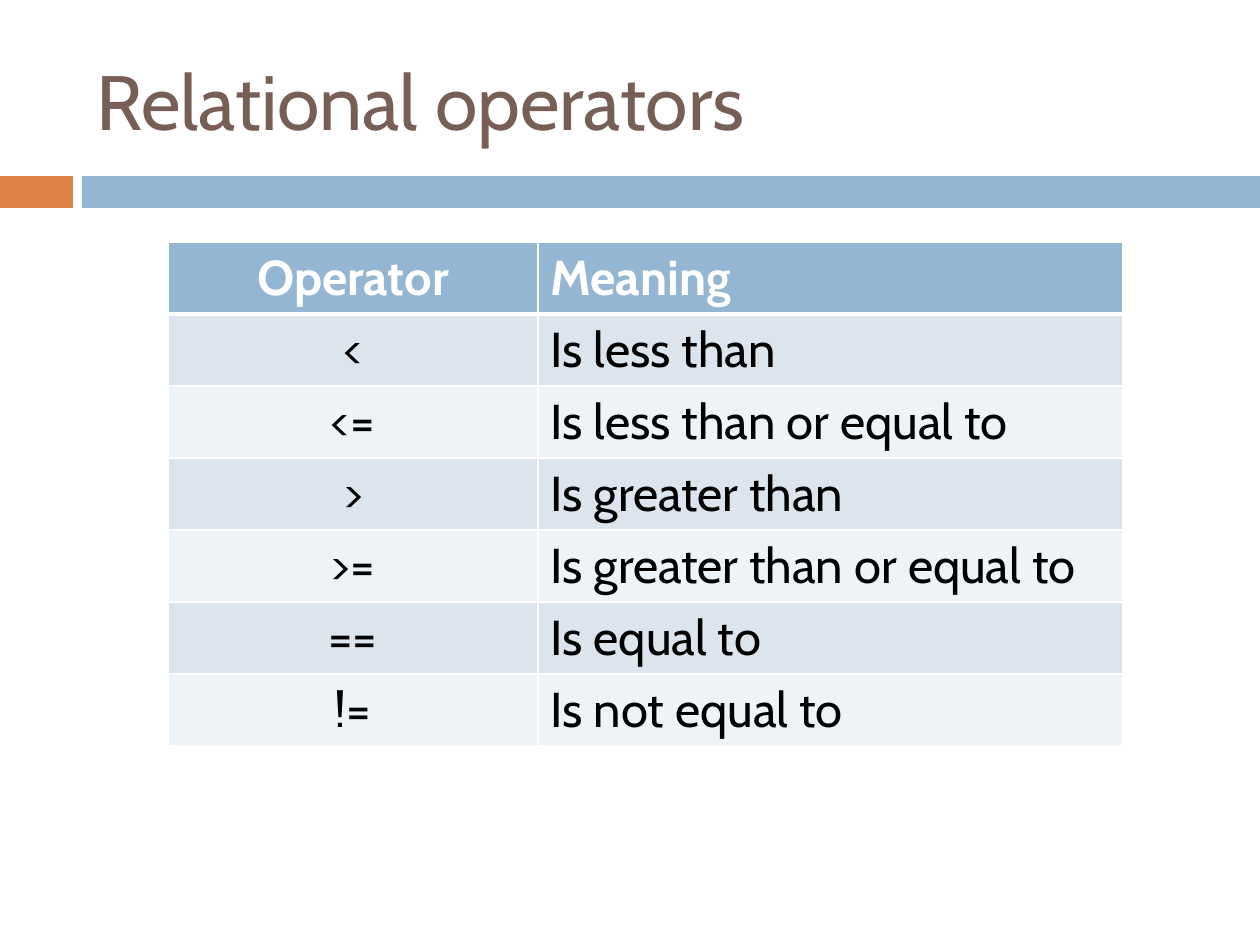
from lxml import etree
from pptx import Presentation
from pptx.dml.color import RGBColor
from pptx.enum.shapes import MSO_SHAPE
from pptx.enum.text import MSO_ANCHOR, PP_ALIGN
from pptx.oxml.ns import qn
from pptx.util import Pt

PX = 914400 // 126
RECTANGLE = MSO_SHAPE.RECTANGLE
MIDDLE = MSO_ANCHOR.MIDDLE
LEFT, CENTER = PP_ALIGN.LEFT, PP_ALIGN.CENTER

FONT = "Cabin"
BROWN = RGBColor(0x77, 0x5F, 0x55)
ORANGE = RGBColor(0xDD, 0x80, 0x47)
BLUE = RGBColor(0x94, 0xB6, 0xD2)
BAND_DARK = RGBColor(0xDC, 0xE5, 0xEE)
BAND_LIGHT = RGBColor(0xEE, 0xF3, 0xF7)
WHITE = RGBColor(0xFF, 0xFF, 0xFF)
BLACK = RGBColor(0x00, 0x00, 0x00)

COLUMN_WIDTHS = (370, 585)
ROW_HEIGHT = 72
OPERATORS = (
    ("Operator", "Meaning"),
    ("<", "Is less than"),
    ("<=", "Is less than or equal to"),
    (">", "Is greater than"),
    (">=", "Is greater than or equal to"),
    ("==", "Is equal to"),
    ("!=", "Is not equal to"),
)


def px(*lengths):
    """Turn pixel lengths into EMU."""
    return [length * PX for length in lengths]


def write(frame, text, size, color, bold=False, align=LEFT):
    """Put one formatted paragraph into a text frame."""
    paragraph = frame.paragraphs[0]
    paragraph.alignment = align
    run = paragraph.add_run()
    run.text = text
    run.font.name = FONT
    run.font.size = Pt(size)
    run.font.bold = bold
    run.font.color.rgb = color


def add_title(slide, text):
    """Add the slide heading."""
    frame = slide.shapes.add_textbox(*px(84, 32, 1124, 136)).text_frame
    frame.word_wrap = True
    frame.vertical_anchor = MIDDLE
    write(frame, text, 44, BROWN)


def add_bar(slide, left, width, color):
    """Add one piece of the strip below the heading."""
    bar = slide.shapes.add_shape(RECTANGLE, *px(left, 176, width, 32))
    bar.shadow.inherit = False
    bar.fill.solid()
    bar.fill.fore_color.rgb = color
    bar.line.fill.background()


def set_border(cell, side, points):
    """Draw a white line on one side of a cell."""
    properties = cell._tc.get_or_add_tcPr()
    line = etree.SubElement(properties, qn(f"a:ln{side}"), w=str(Pt(points)))
    fill = etree.SubElement(line, qn("a:solidFill"))
    etree.SubElement(fill, qn("a:srgbClr"), val=str(WHITE))


def fill_cell(cell, text, row, column):
    """Give a cell its borders, band colour and text."""
    is_header = row == 0
    widths = {"L": 1, "R": 1, "T": 3 if row == 1 else 1, "B": 3 if is_header else 1}
    for side, points in widths.items():
        set_border(cell, side, points)
    cell.fill.solid()
    band = BAND_DARK if row % 2 else BAND_LIGHT
    cell.fill.fore_color.rgb = BLUE if is_header else band
    write(cell.text_frame, text, 28, WHITE if is_header else BLACK,
          bold=is_header, align=LEFT if column else CENTER)


def add_operator_table(slide):
    """Add the table of operators and their meanings."""
    size = px(168, 242, sum(COLUMN_WIDTHS), ROW_HEIGHT * len(OPERATORS))
    table = slide.shapes.add_table(len(OPERATORS), len(COLUMN_WIDTHS), *size).table
    for column, width in zip(table.columns, px(*COLUMN_WIDTHS)):
        column.width = width
    for row, entries in enumerate(OPERATORS):
        for column, text in enumerate(entries):
            fill_cell(table.cell(row, column), text, row, column)


def main():
    """Build and save the slide."""
    deck = Presentation()
    deck.slide_width, deck.slide_height = px(1260, 945)
    slide = deck.slides.add_slide(deck.slide_layouts[6])
    add_bar(slide, 0, 73, ORANGE)
    add_bar(slide, 82, 1178, BLUE)
    add_title(slide, "Relational operators")
    add_operator_table(slide)
    deck.save("out.pptx")


if __name__ == "__main__":
    main()
